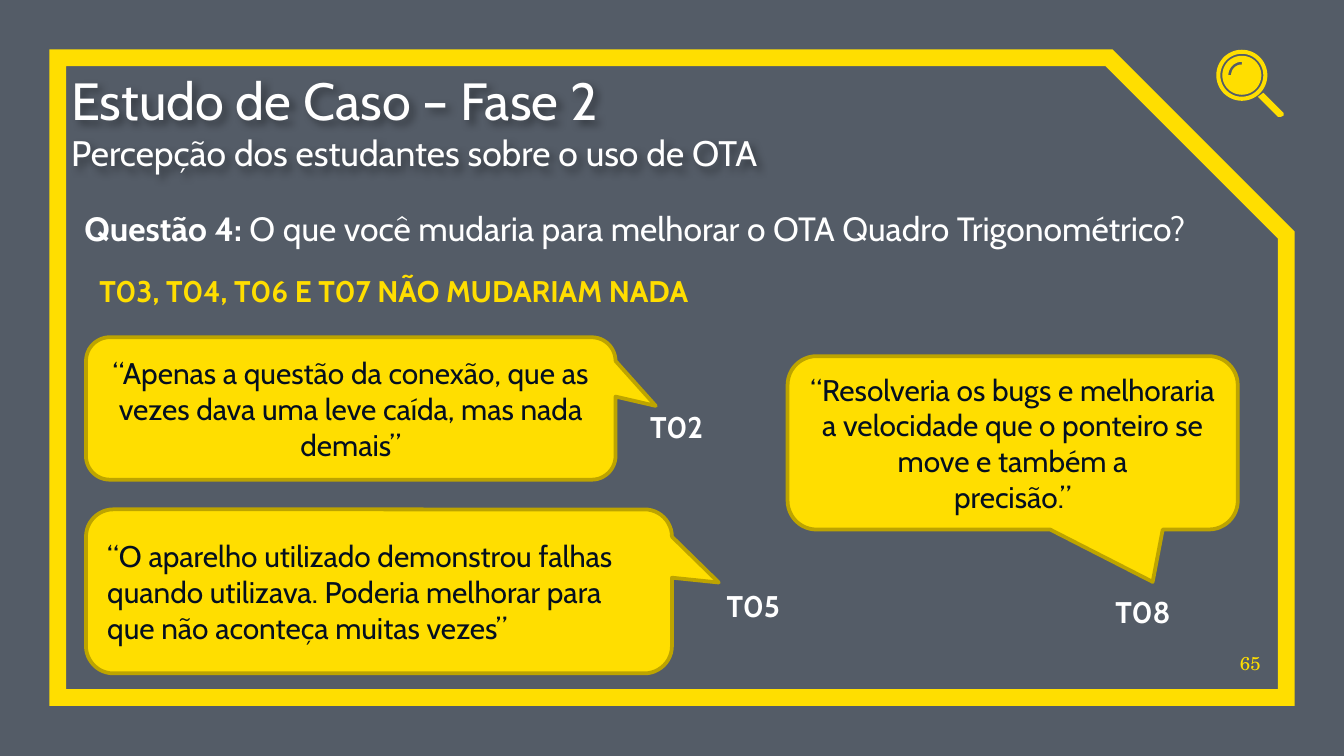
import math
import lxml.etree
import pptx
import pptx.dml.color
import pptx.enum.shapes
import pptx.enum.text
import pptx.oxml
import pptx.oxml.ns
import pptx.util

Inches = pptx.util.Inches
RGBColor = pptx.dml.color.RGBColor
Shape = pptx.enum.shapes.MSO_SHAPE
Align = pptx.enum.text.PP_ALIGN
Anchor = pptx.enum.text.MSO_ANCHOR

WHITE = RGBColor(0xFF, 0xFF, 0xFF)
YELLOW = RGBColor(0xFF, 0xDE, 0x00)
GOLD = RGBColor(0xBD, 0xA4, 0x00)
NAVY = RGBColor(0x04, 0x0F, 0x20)

SHADOW = (
    '<a:effectLst xmlns:a="http://schemas.openxmlformats.org/drawingml/2006/main">'
    '<a:outerShdw blurRad="50800" dist="38100" dir="2700000" algn="tl">'
    '<a:srgbClr val="000000"><a:alpha val="40000"/></a:srgbClr>'
    '</a:outerShdw></a:effectLst>'
)


def write(para, text, size=16, color=WHITE, bold=False, font="Cabin",
          align=Align.LEFT):
    para.alignment = align
    run = para.add_run()
    run.text = text
    run.font.size = pptx.util.Pt(size)
    run.font.bold = bold
    run.font.name = font
    run.font.color.rgb = color


def arc(x, y, radius, start=0, end=360):
    angles = [math.radians(a) for a in range(start, end + 1, 6)]
    return [(x + radius * math.cos(a), y + radius * math.sin(a)) for a in angles]


class Deck:
    def __init__(self, width, height):
        self.show = pptx.Presentation()
        self.show.slide_width = width
        self.show.slide_height = height
        self.slide = self.show.slides.add_slide(self.show.slide_layouts[6])
        self.slide.background.fill.solid()
        self.slide.background.fill.fore_color.rgb = WHITE

    def shape(self, kind, box, fill=None, line=None, width=2, adjust=()):
        shape = self.slide.shapes.add_shape(kind, *map(Inches, box))
        for i, value in enumerate(adjust):
            shape.adjustments[i] = value
        self.paint(shape, fill, line, width)
        return shape

    def paint(self, shape, fill, line=None, width=2):
        shape.shadow.inherit = False
        if fill is None:
            shape.fill.background()
        else:
            shape.fill.solid()
            shape.fill.fore_color.rgb = fill
        if line is None:
            shape.line.fill.background()
        else:
            shape.line.color.rgb = line
            shape.line.width = pptx.util.Pt(width)

    def veil(self, box, color, alpha):
        shape = self.shape(Shape.RECTANGLE, box, color)
        tint = shape._element.spPr.find(".//" + pptx.oxml.ns.qn("a:srgbClr"))
        node = lxml.etree.SubElement(tint, pptx.oxml.ns.qn("a:alpha"))
        node.set("val", str(alpha * 1000))

    def border(self, box, snip):
        shape = self.shape(Shape.SNIP_1_RECTANGLE, box, line=YELLOW, width=9,
                           adjust=(snip,))
        line = shape._element.spPr.find(pptx.oxml.ns.qn("a:ln"))
        node = lxml.etree.SubElement(line, pptx.oxml.ns.qn("a:miter"))
        node.set("lim", "800000")

    def outline(self, *loops):
        loops = [[(Inches(x), Inches(y)) for x, y in loop] for loop in loops]
        path = self.slide.shapes.build_freeform(*loops[0][0], scale=1.0)
        path.add_line_segments(loops[0][1:], close=True)
        for loop in loops[1:]:
            path.move_to(*loop[0])
            path.add_line_segments(loop[1:], close=True)
        self.paint(path.convert_to_shape(), YELLOW)

    def text(self, box, inset=True, anchor=Anchor.TOP, shadow=False):
        shape = self.slide.shapes.add_textbox(*map(Inches, box))
        frame = shape.text_frame
        frame.word_wrap = True
        frame.vertical_anchor = anchor
        if not inset:
            frame.margin_left = frame.margin_right = 0
            frame.margin_top = frame.margin_bottom = 0
        if shadow:
            shape._element.spPr.append(pptx.oxml.parse_xml(SHADOW))
        return frame

    def callout(self, box, tip, lines, align=Align.CENTER):
        shape = self.shape(Shape.ROUNDED_RECTANGULAR_CALLOUT, box, YELLOW,
                           GOLD, adjust=(*tip, 0.167))
        frame = shape.text_frame
        frame.word_wrap = True
        frame.vertical_anchor = Anchor.MIDDLE
        for i, line in enumerate(lines):
            para = frame.add_paragraph() if i else frame.paragraphs[0]
            write(para, line, color=NAVY, align=align)

    def label(self, x, y, text):
        frame = self.text((x, y, 0.63, 0.37))
        write(frame.paragraphs[0], text, bold=True, align=Align.CENTER)

    def lens(self, x, y):
        self.outline(arc(x, y, 0.19), arc(x, y, 0.16))
        glint = arc(x, y, 0.1, 180, 270) + arc(x, y, 0.08, 180, 270)[::-1]
        self.outline(arc(x, y, 0.145), glint)
        self.outline([(9.4, 0.69), (9.36, 0.72), (9.51, 0.87), (9.53, 0.87),
                      (9.55, 0.86), (9.55, 0.84)])


def main():
    wide = Inches(10)
    deck = Deck(wide, wide * 9 // 16)
    deck.veil((0, 0, 10, 5.63), NAVY, 68)
    deck.border((0.43, 0.43, 9.14, 4.76), 0.277)

    page = deck.text((9.11, 4.74, 0.27, 0.28), False, Anchor.BOTTOM)
    write(page.paragraphs[0], "65", size=10, color=YELLOW,
          font="TeX Gyre Schola", align=Align.RIGHT)
    deck.lens(9.24, 0.56)

    title = deck.text((0.53, 0.54, 8.41, 0.75), False, Anchor.BOTTOM, True)
    write(title.paragraphs[0], "Estudo de Caso – Fase 2", size=28)
    write(title.add_paragraph(), "Percepção dos estudantes sobre o uso de OTA",
          size=19)

    ask = deck.text((0.53, 1.5, 9.02, 0.4)).paragraphs[0]
    write(ask, "Questão 4: ", size=18, bold=True)
    write(ask, "O que você mudaria para melhorar o OTA Quadro Trigonométrico?",
          size=18)
    note = deck.text((0.64, 1.98, 4.88, 0.37)).paragraphs[0]
    write(note, "T03, T04, T06 E T07 NÃO MUDARIAM NADA", color=YELLOW, bold=True)

    deck.callout((0.64, 2.51, 3.94, 1.06), (0.576, -0.018), [
        "“Apenas a questão da conexão, que as vezes dava uma leve caída, "
        "mas nada demais”"])
    deck.callout((5.86, 2.65, 3.35, 1.29), (0.311, 0.802), [
        "“Resolveria os bugs e melhoraria a velocidade que o ponteiro se "
        "move e também a", "precisão.”"])
    deck.callout((0.64, 3.79, 4.36, 1.22), (0.58, -0.054), [
        "“O aparelho utilizado demonstrou falhas quando utilizava. Poderia "
        "melhorar para que não aconteça muitas vezes”"], Align.LEFT)

    for x, y, name in ((4.72, 2.99, "T02"), (8.19, 4.37, "T08"),
                       (5.29, 4.32, "T05")):
        deck.label(x, y, name)
    deck.show.save("out.pptx")


if __name__ == "__main__":
    main()
